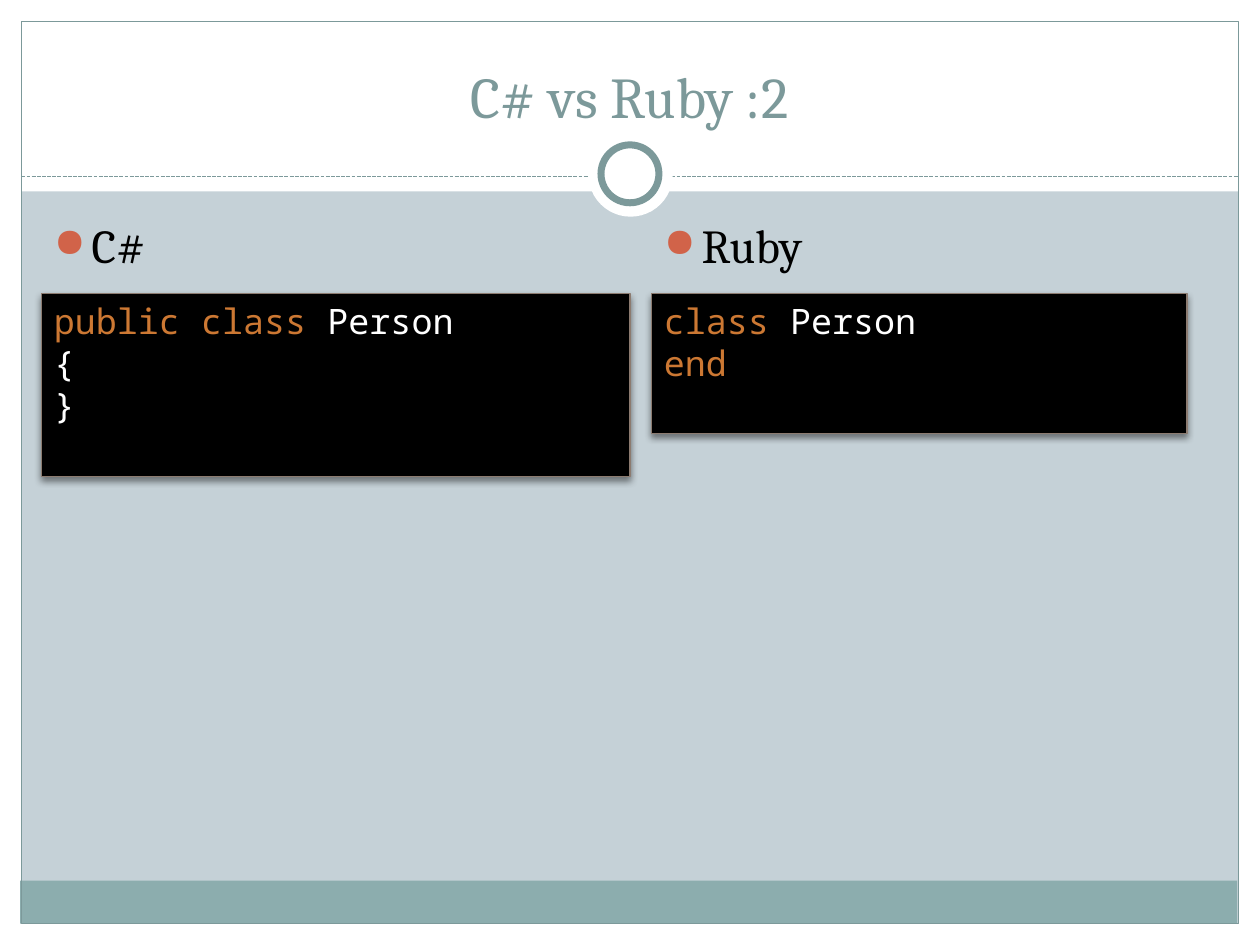
from lxml import etree
from pptx import Presentation
from pptx.dml.color import RGBColor
from pptx.enum.dml import MSO_LINE
from pptx.enum.shapes import MSO_CONNECTOR, MSO_SHAPE
from pptx.enum.text import MSO_ANCHOR, MSO_AUTO_SIZE, PP_ALIGN
from pptx.oxml import parse_xml
from pptx.oxml.ns import nsdecls, qn
from pptx.util import Inches, Pt

BACKGROUND = RGBColor(0xC5, 0xD1, 0xD7)
WHITE = RGBColor(0xFF, 0xFF, 0xFF)
BLACK = RGBColor(0x00, 0x00, 0x00)
TEAL = RGBColor(0x7C, 0x99, 0x9A)
FOOTER = RGBColor(0x8C, 0xAD, 0xAE)
BULLET = RGBColor(0xD1, 0x63, 0x49)
CODE_LINE = RGBColor(0x8C, 0x7B, 0x70)
KEYWORD = RGBColor(0xCC, 0x78, 0x33)


def add_box(kind, left, top, width, height, fill=None, line=None, line_width=0.75):
    shape = slide.shapes.add_shape(
        kind, Inches(left), Inches(top), Inches(width), Inches(height))
    shape.shadow.inherit = False
    if fill is None:
        shape.fill.background()
    else:
        shape.fill.solid()
        shape.fill.fore_color.rgb = fill
    if line is None:
        shape.line.fill.background()
    else:
        shape.line.color.rgb = line
        shape.line.width = Pt(line_width)
    return shape


def format_run(run, font_name, size, color):
    run.font.name = font_name
    run.font.size = Pt(size)
    run.font.color.rgb = color


presentation = Presentation()
presentation.slide_width = Inches(10)
presentation.slide_height = Inches(7.5)
slide = presentation.slides.add_slide(presentation.slide_layouts[5])
slide.background.fill.solid()
slide.background.fill.fore_color.rgb = BACKGROUND

# White margins, footer band and frame
for left, top, width, height, fill in [
    (0, 7.33, 10, 0.17, WHITE),
    (0, 0, 10, 1.52, WHITE),
    (0, 0, 0.17, 7.5, WHITE),
    (9.83, 0, 0.17, 7.5, WHITE),
    (0.16, 6.99, 9.66, 0.34, FOOTER),
]:
    add_box(MSO_SHAPE.RECTANGLE, left, top, width, height, fill)
add_box(MSO_SHAPE.RECTANGLE, 0.17, 0.17, 9.66, 7.16, line=TEAL)

# Dashed divider with a ring in the middle
divider = slide.shapes.add_connector(
    MSO_CONNECTOR.STRAIGHT, Inches(0.17), Inches(1.4), Inches(9.83), Inches(1.4))
divider.line.color.rgb = TEAL
divider.line.width = Pt(0.75)
divider.line.dash_style = MSO_LINE.SQUARE_DOT
etree.SubElement(divider.element.spPr, qn("a:effectLst"))
add_box(MSO_SHAPE.OVAL, 4.67, 1.05, 0.67, 0.67, WHITE)
add_box(MSO_SHAPE.OVAL, 4.77, 1.15, 0.46, 0.46, WHITE, TEAL, 4)

# Title, brought in front of the white header
title = slide.shapes.title
title.element.getparent().append(title.element)
title.left, title.top = Inches(0.33), Inches(0.25)
title.width, title.height = Inches(9.33), Inches(0.83)
title.text_frame.text = "C# vs Ruby :2"
title.text_frame.auto_size = MSO_AUTO_SIZE.NONE
title.text_frame.vertical_anchor = MSO_ANCHOR.BOTTOM
title_paragraph = title.text_frame.paragraphs[0]
title_paragraph.alignment = PP_ALIGN.CENTER
format_run(title_paragraph.runs[0], "Cambria", 33, TEAL)

# Each column: heading, left, code width, code height, lines of (text, color)
columns = [
    ("C#", 0.33, 4.67, 1.45,
     [[("public class ", KEYWORD), ("Person", WHITE)], [("{", WHITE)], [("}", WHITE)]]),
    ("Ruby", 5.17, 4.25, 1.11,
     [[("class ", KEYWORD), ("Person", WHITE)], [("end", KEYWORD)]]),
]
for heading, left, code_width, code_height, code_lines in columns:
    # Bulleted heading
    heading_box = slide.shapes.add_textbox(
        Inches(left), Inches(1.67), Inches(4.34), Inches(0.66))
    heading_box.text_frame.word_wrap = True
    heading_box.text_frame.text = heading
    paragraph = heading_box.text_frame.paragraphs[0]
    paragraph.space_before = Pt(5.4)
    format_run(paragraph.runs[0], "Cambria", 27, BLACK)
    properties = paragraph._p.get_or_add_pPr()
    properties.set("marL", str(Inches(0.3)))
    properties.set("indent", str(Inches(-0.3)))
    for bullet_xml in (
        f'<a:buClr {nsdecls("a")}><a:srgbClr val="{BULLET}"/></a:buClr>',
        f'<a:buSzPct {nsdecls("a")} val="85000"/>',
        f'<a:buChar {nsdecls("a")} char="●"/>',
    ):
        properties.append(parse_xml(bullet_xml))

    # Code panel with a soft shadow below
    panel = add_box(MSO_SHAPE.RECTANGLE, left, 2.33, code_width, code_height,
                    BLACK, CODE_LINE)
    panel.element.spPr.find(qn("a:effectLst")).append(parse_xml(
        f'<a:outerShdw {nsdecls("a")} blurRad="{Pt(4)}" dist="{Pt(2)}" dir="5400000" '
        'rotWithShape="0"><a:srgbClr val="000000"><a:alpha val="45000"/></a:srgbClr>'
        '</a:outerShdw>'))
    panel.text_frame.word_wrap = True
    panel.text_frame.vertical_anchor = MSO_ANCHOR.TOP
    paragraph = panel.text_frame.paragraphs[0]
    paragraph.alignment = PP_ALIGN.LEFT
    for index, code_line in enumerate(code_lines):
        if index:
            paragraph.add_line_break()
        for text, color in code_line:
            run = paragraph.add_run()
            run.text = text
            format_run(run, "Noto Sans Mono", 20, color)

presentation.save("out.pptx")
